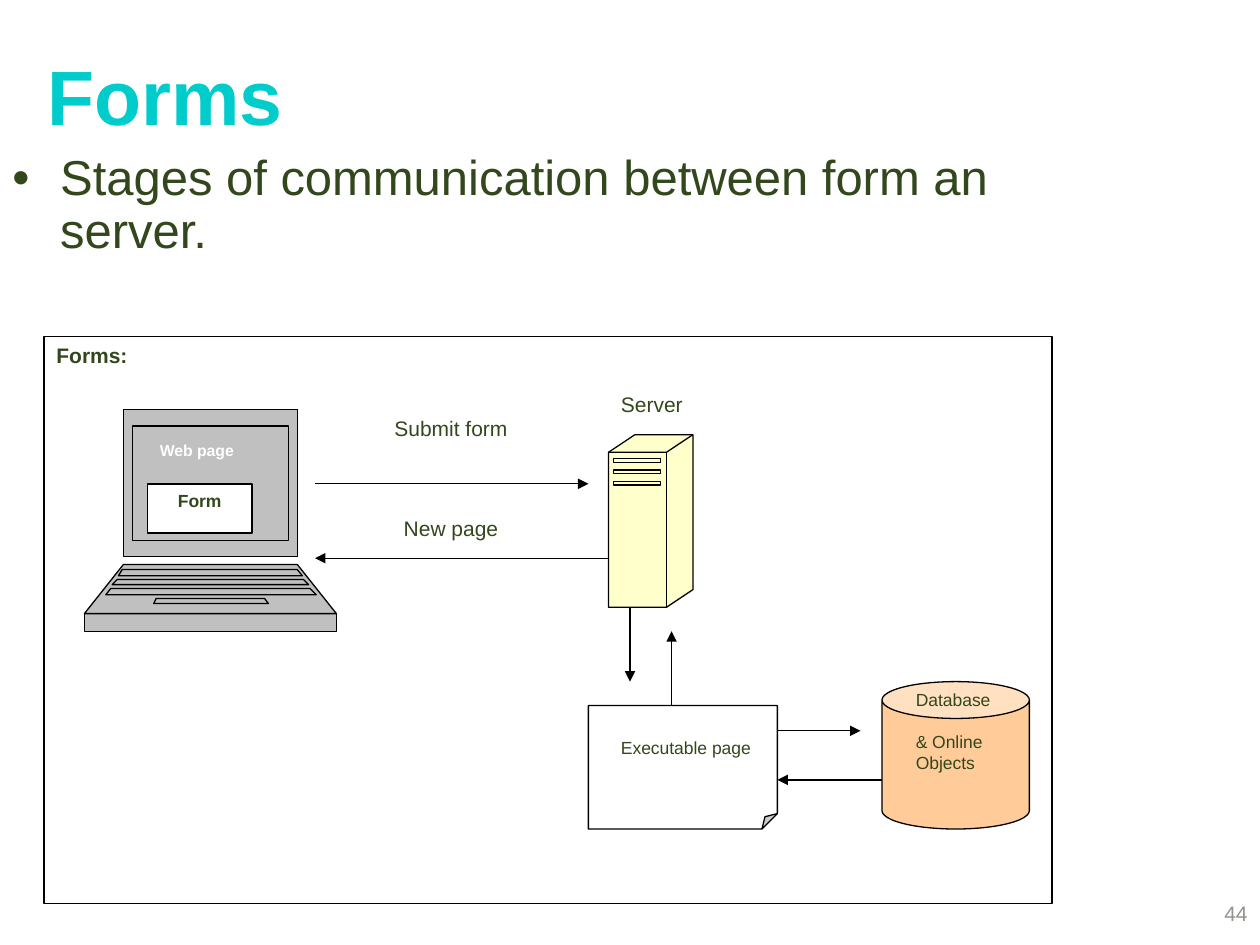
from pptx import Presentation
from pptx.dml.color import RGBColor
from pptx.enum.shapes import MSO_CONNECTOR, MSO_SHAPE
from pptx.enum.text import MSO_ANCHOR, PP_ALIGN
from pptx.oxml.ns import qn
from pptx.util import Inches, Pt
from lxml.etree import SubElement

TEAL = RGBColor(0x00, 0xCC, 0xCC)
GREEN = RGBColor(0x33, 0x47, 0x1C)
GRAY = RGBColor(0x90, 0x95, 0x8D)
SILVER = RGBColor(0xC0, 0xC0, 0xC0)
CREAM = RGBColor(0xFF, 0xFF, 0xCC)
PEACH = RGBColor(0xFF, 0xCC, 0x99)
WHITE = RGBColor(0xFF, 0xFF, 0xFF)
BLACK = RGBColor(0x00, 0x00, 0x00)


def write(shape, text, size=12, color=GREEN, bold=False, align=PP_ALIGN.LEFT,
          anchor=MSO_ANCHOR.TOP, bullet=False, gap=0):
    """Fill a shape with one paragraph per line of text, gap points apart."""
    frame = shape.text_frame
    frame.word_wrap = True
    frame.vertical_anchor = anchor
    for index, line in enumerate(text.split("\n")):
        para = frame.paragraphs[0] if index == 0 else frame.add_paragraph()
        para.alignment = align
        if index:
            para.space_before = Pt(gap)
        if bullet:
            para.line_spacing = 0.9
            props = para._p.get_or_add_pPr()
            props.set("marL", str(Inches(0.38)))
            props.set("indent", str(Inches(-0.38)))
            SubElement(props, qn("a:buFont")).set("typeface", "Arial")
            SubElement(props, qn("a:buChar")).set("char", "•")
        span = para.add_run()
        span.text = line
        span.font.name = "Arial"
        span.font.size = Pt(size)
        span.font.bold = bold
        span.font.color.rgb = color


def add_text(page, box, text, **style):
    write(page.shapes.add_textbox(*map(Inches, box)), text, **style)


def paint(shape, fill):
    shape.shadow.inherit = False
    if fill is None:
        shape.fill.background()
    else:
        shape.fill.solid()
        shape.fill.fore_color.rgb = fill
    shape.line.color.rgb = BLACK
    shape.line.width = Pt(0.75)


def add_preset(page, box, fill, kind=MSO_SHAPE.RECTANGLE):
    shape = page.shapes.add_shape(kind, *map(Inches, box))
    paint(shape, fill)
    return shape


def add_outline(page, origin, contours, fill=None, close=True):
    """Draw contours, given as points in inches from the origin."""
    left, top = origin
    builder = None
    for contour in contours:
        start, *rest = [(Inches(left + x), Inches(top + y)) for x, y in contour]
        if builder is None:
            builder = page.shapes.build_freeform(*start, scale=1.0)
        else:
            builder.move_to(*start)
        builder.add_line_segments(rest, close=close)
    paint(builder.convert_to_shape(), fill)


def add_arrow(page, start, end):
    line = page.shapes.add_connector(MSO_CONNECTOR.STRAIGHT,
                                     *map(Inches, start + end))
    line.line.color.rgb = BLACK
    line.line.width = Pt(0.75)
    SubElement(line.line._get_or_add_ln(), qn("a:tailEnd")).set("type", "triangle")
    SubElement(line._element.spPr, qn("a:effectLst"))


def add_heading(page, box):
    left, top, width, height = box
    add_text(page, (left + 0.28, top, 9, 1.25), "Forms", size=44, color=TEAL,
             bold=True, anchor=MSO_ANCHOR.MIDDLE)
    add_text(page, (left, top + 1.04, 8, height - 1.04),
             "Stages of communication between form an server.",
             size=28, bullet=True)


def add_laptop(page, box):
    left, top, width, height = box
    add_preset(page, (left + 0.31, top, 1.38, 1.17), SILVER)
    add_preset(page, (left + 0.38, top + 0.13, 1.24, 0.91), SILVER)
    add_preset(page, (left, top + 1.62, width, height - 1.62), SILVER)
    # Keyboard deck, three key rows and space bar: y, height, top and bottom edges
    slopes = [(1.23, 0.39, (0.31, 1.69), (0, width)),
              (1.27, 0.05, (0.3, 1.69), (0.27, 1.73)),
              (1.35, 0.04, (0.26, 1.74), (0.22, 1.78)),
              (1.42, 0.05, (0.21, 1.79), (0.17, 1.84)),
              (1.5, 0.04, (0.57, 1.43), (0.55, 1.46))]
    for y, depth, (upper_left, upper_right), (lower_left, lower_right) in slopes:
        add_outline(page, (left, top),
                    [[(upper_left, y), (upper_right, y),
                      (lower_right, y + depth), (lower_left, y + depth)]], SILVER)
    form = add_preset(page, (left + 0.5, top + 0.59, 0.83, 0.39), WHITE)
    write(form, "Form", size=10, bold=True, align=PP_ALIGN.CENTER)
    add_text(page, (left + 0.5, top + 0.2, 1, 0.39), "Web page",
             size=9, color=WHITE, bold=True)


def add_server(page, box):
    left, top, width, height = box
    front, rise = 0.46, 0.14
    add_outline(page, (left, top),
                [[(0, rise), (0.21, 0), (width, 0), (width, height - rise),
                  (front, height), (0, height)]], CREAM)
    add_outline(page, (left, top),
                [[(0, rise), (front, rise), (width, 0)],
                 [(front, rise), (front, height)]], close=False)
    for slot in range(3):
        add_preset(page, (left + 0.04, top + 0.19 + slot * 0.09, 0.37, 0.03), CREAM)
    add_text(page, (left, top - 0.39, 1.17, 0.39), "Server")


def add_executable(page, box):
    left, top, width, height = box
    sheet = add_preset(page, box, WHITE, MSO_SHAPE.FOLDED_CORNER)
    # The library lists no adjustment for this preset, so the fold is set in XML
    fold = SubElement(sheet._element.spPr.find(".//" + qn("a:avLst")), qn("a:gd"))
    fold.set("name", "adj")
    fold.set("fmla", "val 12500")
    add_text(page, (left + 0.16, top + 0.2, 1.33, height - 0.2),
             "Executable page", size=10)


def add_database(page, box):
    left, top, width, height = box
    add_preset(page, box, PEACH, MSO_SHAPE.CAN)
    add_text(page, (left + 0.17, top + 0.01, 1, height),
             "Database\n& Online Objects", size=10, gap=12)


def add_diagram(page, box):
    left, top, width, height = box
    write(add_preset(page, box, WHITE), "Forms:", bold=True)
    add_server(page, (left + 4.48, top + 0.78, 0.67, 1.37))
    add_executable(page, (left + 4.32, top + 2.93, 1.5, 0.98))
    add_laptop(page, (left + 0.32, top + 0.58, 2, 1.76))
    add_database(page, (left + 6.65, top + 2.74, 1.17, 1.17))
    for y, label in [(0.58, "Submit form"), (1.37, "New page")]:
        add_text(page, (left + 2.48, top + y, 1.5, 0.39), label,
                 align=PP_ALIGN.CENTER)
    arrows = [((2.15, 1.17), (4.32, 1.17)),  # laptop to server
              ((4.48, 1.76), (2.15, 1.76)),  # server to laptop
              ((4.65, 2.15), (4.65, 2.74)),  # server to executable
              ((4.98, 2.93), (4.98, 2.34)),  # executable to server
              ((5.82, 3.13), (6.48, 3.13)),  # executable to database
              ((6.65, 3.52), (5.82, 3.52))]  # database to executable
    for (x1, y1), (x2, y2) in arrows:
        add_arrow(page, (left + x1, top + y1), (left + x2, top + y2))


def main():
    deck = Presentation()
    deck.slide_width, deck.slide_height = Inches(10), Inches(7.5)
    page = deck.slides.add_slide(deck.slide_layouts[6])
    add_heading(page, (0, 0.13, 10, 2.04))
    add_diagram(page, (0.35, 2.67, 8, 4.5))
    add_text(page, (7.92, 7, 2.08, 0.5), "44", color=GRAY,
             align=PP_ALIGN.RIGHT, anchor=MSO_ANCHOR.MIDDLE)
    deck.save("out.pptx")


if __name__ == "__main__":
    main()
